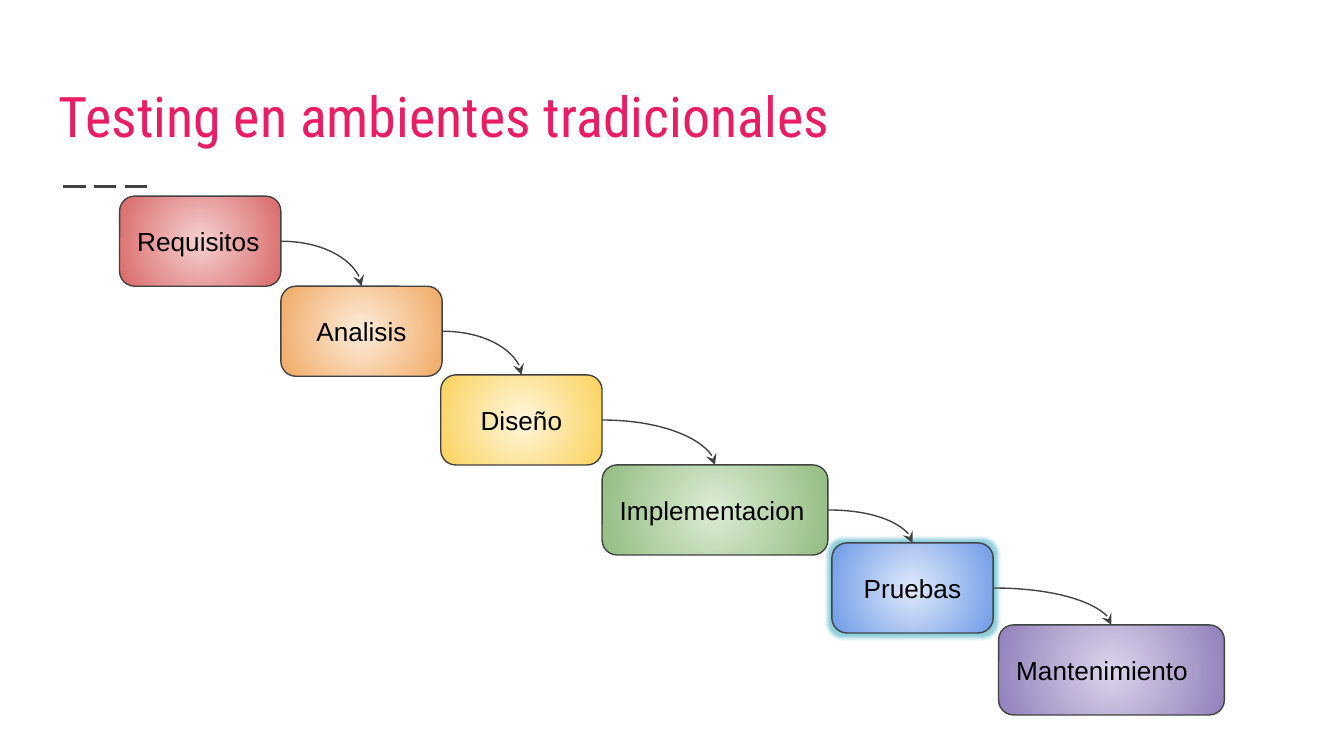
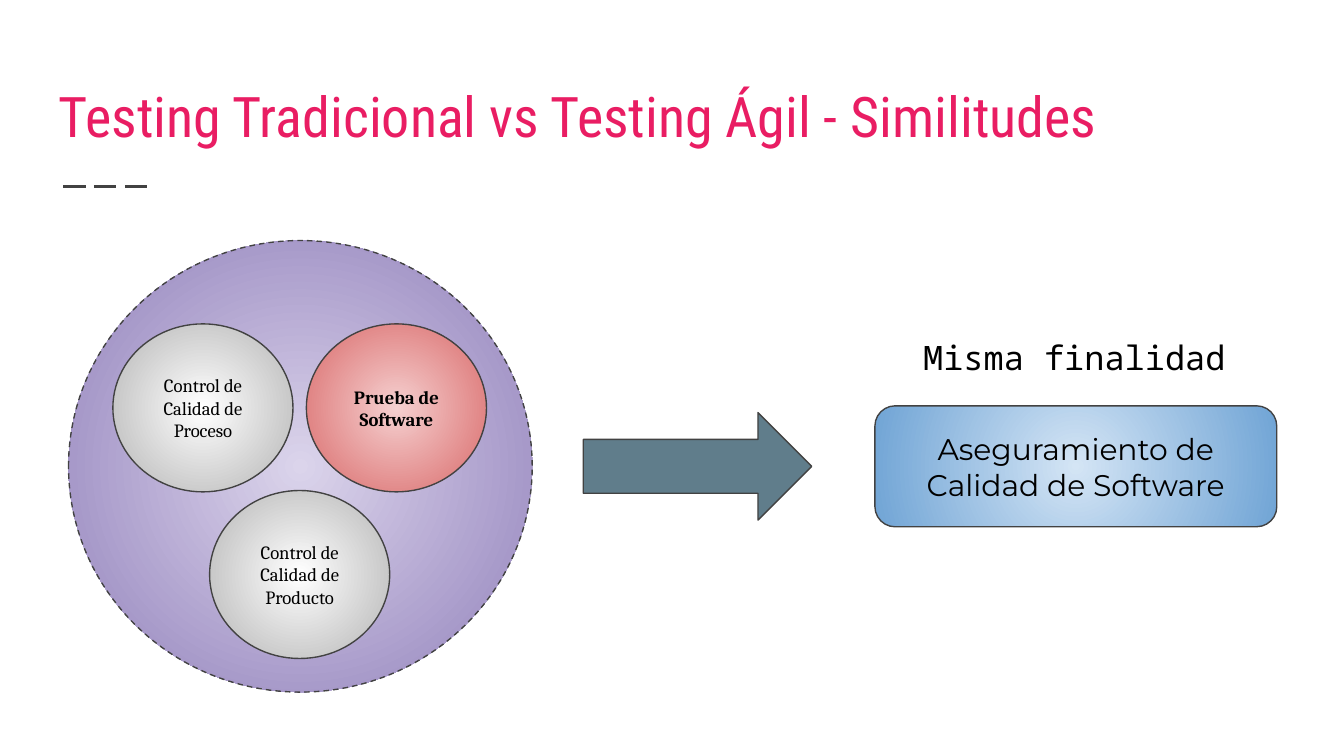
from dataclasses import dataclass

from lxml import etree
from pptx import Presentation
from pptx import util as u
from pptx.dml.color import RGBColor
from pptx.enum import dml, shapes, text
from pptx.oxml import ns

KIND = shapes.MSO_SHAPE
ALIGN = text.PP_ALIGN
ANCHOR = text.MSO_ANCHOR


@dataclass(frozen=True)
class Theme:
    # Colours: a pair is the centre and edge of a radial fill
    pink: str = "E91D63"
    ink: str = "000000"
    dark: str = "424242"
    slate: str = "607D8B"
    glow: str = "45AFC4"
    red: tuple = ("F5D0D0", "D96868")
    orange: tuple = ("FDECDB", "F0A963")
    yellow: tuple = ("FFF6DB", "FAD25C")
    green: tuple = ("DCECD5", "93BC81")
    blue: tuple = ("DFE9FB", "6E9BE7")
    purple: tuple = ("DBD4EB", "9180BB")
    gray: tuple = ("FFFFFF", "B3B3B3")
    sky: tuple = ("D4E5F5", "70A4D5")
    # Fonts
    head: str = "Roboto Condensed"
    sans: str = "Arial"
    serif: str = "Cambria"
    round: str = "Montserrat"
    mono: str = "Noto Sans Mono"
    # Type sizes and line widths, in points
    title: int = 30
    large: int = 18
    medium: int = 16
    body: int = 14
    small: int = 10
    thin: float = 0.75
    rule: float = 1.5


T = Theme()


def rgb(code):
    return RGBColor.from_string(code)


def child(node, tag, **attrs):
    return etree.SubElement(node, ns.qn(tag), attrs)


def write(frame, words, size=T.body, font=T.sans, color=T.ink, bold=False,
          align=ALIGN.CENTER, anchor=ANCHOR.MIDDLE, wrap=True):
    """Fill a text frame, one paragraph for each line of words."""
    frame.word_wrap = wrap
    frame.vertical_anchor = anchor
    frame.margin_left = frame.margin_right = u.Inches(0.1)
    frame.margin_top = frame.margin_bottom = u.Inches(0.1)
    frame.text = words
    for para in frame.paragraphs:
        para.alignment = align
        for run in para.runs:
            run.font.size = u.Pt(size)
            run.font.name = font
            run.font.bold = bold
            run.font.color.rgb = rgb(color)


class Deck:
    """Holds the style and the slide being drawn."""

    def __init__(self, theme):
        self.theme = theme
        self.show = Presentation()
        # Widescreen, 16 to 9
        self.show.slide_width = u.Inches(10)
        self.show.slide_height = u.Inches(10 * 9 / 16)
        self.slide = None

    def page(self, title):
        """Start a slide with the shared title and dashed rule."""
        self.slide = self.show.slides.add_slide(self.show.slide_layouts[6])
        rule = self.link((0.47, 1.39), (1.14, 1.39), self.theme.rule)
        rule.line.dash_style = dml.MSO_LINE.LONG_DASH
        self.label((0.34, 0.41, 9.32, 0.8), title, size=self.theme.title,
                   font=self.theme.head, color=self.theme.pink,
                   anchor=ANCHOR.BOTTOM)

    def label(self, area, words, **style):
        box = self.slide.shapes.add_textbox(*map(u.Inches, area))
        write(box.text_frame, words, **{"align": ALIGN.LEFT, **style})
        return box

    def shape(self, kind, area, fill, words="", **style):
        """Draw a preset shape with a solid colour, or a radial pair."""
        item = self.slide.shapes.add_shape(kind, *map(u.Inches, area))
        item.shadow.inherit = False
        if isinstance(fill, str):
            item.fill.solid()
            item.fill.fore_color.rgb = rgb(fill)
        else:
            self.blend(item, fill)
        item.line.color.rgb = rgb(self.theme.dark)
        item.line.width = u.Pt(self.theme.thin)
        if words:
            write(item.text_frame, words, **style)
        return item

    def blend(self, item, pair):
        """Fill with a gradient that spreads from the centre."""
        item.fill.gradient()
        for stop, code in zip(item.fill.gradient_stops, pair):
            stop.color.rgb = rgb(code)
        grad = item.element.spPr.find(ns.qn("a:gradFill"))
        grad.remove(grad.find(ns.qn("a:lin")))
        way = child(grad, "a:path", path="circle")
        child(way, "a:fillToRect", l="50000", t="50000", r="50000", b="50000")

    def glow(self, item):
        effect = item.element.spPr.find(ns.qn("a:effectLst"))
        halo = child(effect, "a:glow", rad=str(u.Inches(0.06)))
        tint = child(halo, "a:srgbClr", val=self.theme.glow)
        child(tint, "a:alpha", val="60000")

    def link(self, start, end, width, kind=shapes.MSO_CONNECTOR.STRAIGHT):
        ends = map(u.Inches, (*start, *end))
        line = self.slide.shapes.add_connector(kind, *ends)
        line.line.color.rgb = rgb(self.theme.dark)
        line.line.width = u.Pt(width)
        child(line.element.spPr, "a:effectLst")
        return line

    def bend(self, first, last):
        """Curve from the right side of one shape to the top of another."""
        line = self.link((0, 0), (1, 1), self.theme.thin,
                         shapes.MSO_CONNECTOR.CURVE)
        line.begin_connect(first, 3)
        line.end_connect(last, 0)
        props = line.element.spPr
        props.find(ns.qn("a:prstGeom")).set("prst", "curvedConnector2")
        child(props.find(ns.qn("a:ln")), "a:tailEnd", type="stealth")


def cascade(deck):
    deck.page("Testing en ambientes tradicionales")

    # Phases: name, left, top, width, fill, alignment
    short, long = 1.2, 1.68
    left, mid = ALIGN.LEFT, ALIGN.CENTER
    phases = [
        ("Requisitos", 0.89, 1.46, short, T.red, left),
        ("Analisis", 2.09, 2.13, short, T.orange, mid),
        ("Diseño", 3.28, 2.79, short, T.yellow, mid),
        ("Implementacion", 4.48, 3.46, long, T.green, left),
        ("Pruebas", 6.19, 4.04, short, T.blue, mid),
        ("Mantenimiento", 7.43, 4.65, long, T.purple, left),
    ]
    boxes = {}
    for name, x, y, wide, pair, align in phases:
        boxes[name] = deck.shape(KIND.ROUNDED_RECTANGLE, (x, y, wide, 0.67),
                                 pair, name, align=align)
    deck.glow(boxes["Pruebas"])

    # Arrows from each phase to the next
    chain = list(boxes.values())
    for first, last in zip(chain, chain[1:]):
        deck.bend(first, last)


def compare(deck):
    deck.page("Testing Tradicional vs Testing Ágil - Similitudes")

    # Outer circle and the three activities inside it
    ring = deck.shape(KIND.OVAL, (0.51, 1.79, 3.45, 3.36), T.purple)
    ring.line.dash_style = dml.MSO_LINE.DASH
    parts = [
        ("Control de Calidad de Proceso", 0.84, 2.41, T.gray, False),
        ("Control de Calidad de Producto", 1.56, 3.65, T.gray, False),
        ("Prueba de Software", 2.28, 2.41, T.red, True),
    ]
    for name, x, y, pair, bold in parts:
        deck.shape(KIND.OVAL, (x, y, 1.34, 1.25), pair, name,
                   size=T.small, font=T.serif, bold=bold)

    # Shared goal
    deck.shape(KIND.RIGHT_ARROW, (4.34, 3.07, 1.7, 0.8), T.slate)
    deck.shape(KIND.ROUNDED_RECTANGLE, (6.51, 3.02, 2.99, 0.9), T.sky,
               "Aseguramiento de\nCalidad de Software",
               size=T.medium, font=T.round)
    deck.label((6.77, 2.41, 2.45, 0.5), "Misma finalidad", size=T.large,
               font=T.mono, anchor=ANCHOR.TOP, wrap=False)


def main():
    deck = Deck(T)
    cascade(deck)
    compare(deck)
    deck.show.save("out.pptx")


if __name__ == "__main__":
    main()
